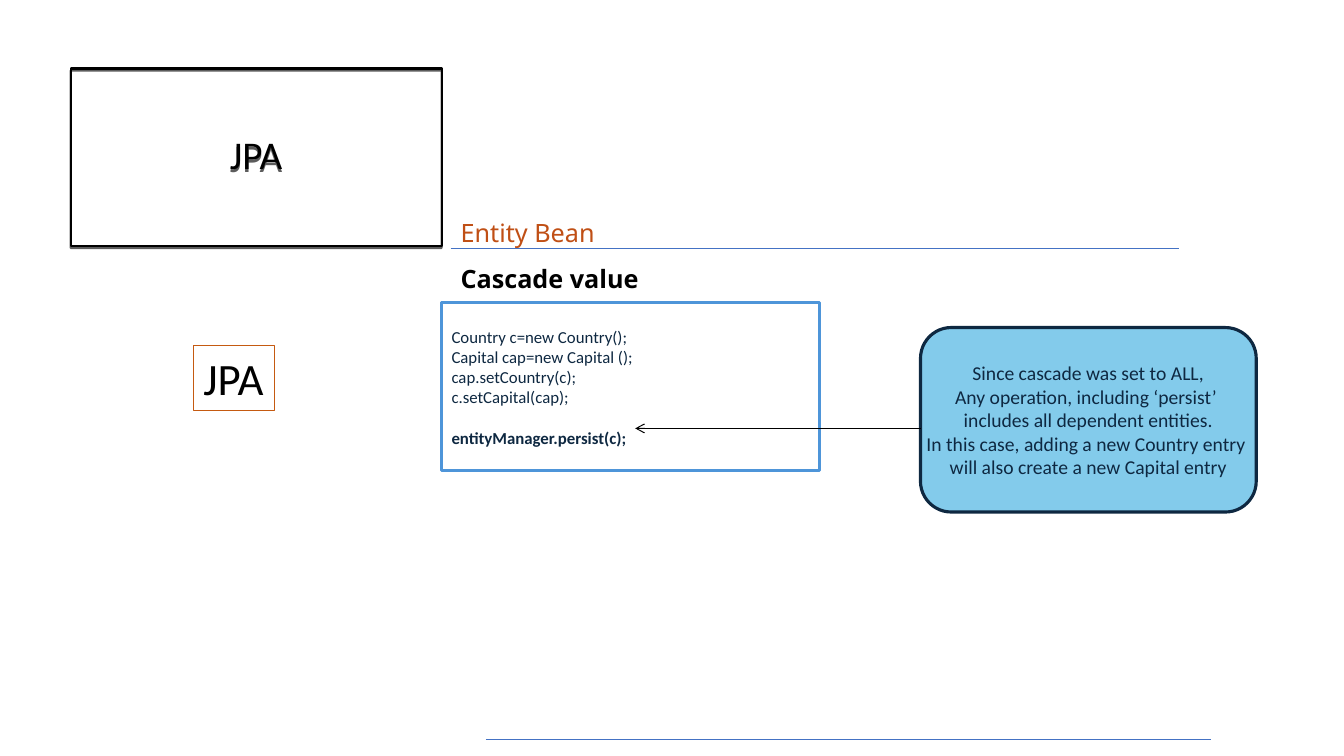
"""Builds the JPA cascade slide."""
from dataclasses import dataclass

from lxml import etree
from pptx import Presentation
from pptx import util as u
from pptx.dml import color
from pptx.enum import shapes, text
from pptx.oxml import ns


@dataclass(frozen=True)
class Theme:
    """Holds the colours, fonts and type sizes."""
    black: str = "000000"
    navy: str = "0E2841"
    sky: str = "83CBEB"
    blue: str = "4E95D9"
    rule: str = "4472C4"
    orange: str = "C55A11"
    rust: str = "C04F15"
    body_font: str = "Calibri"
    heading_font: str = "Noto Sans"
    code: int = 12
    note: int = 14
    heading: int = 18
    title: int = 28
    label: int = 32


def rgb(value):
    """Turns a hex string into a colour."""
    return color.RGBColor.from_string(value)


def add_xml(parent, tag, **attributes):
    """Adds a DrawingML child element and returns it."""
    child = etree.SubElement(parent, ns.qn(tag))
    for name, value in attributes.items():
        child.set(name, str(value))
    return child


def write(shape, lines, *, font, size, ink, bold=False, align=None, anchor=None,
          wrap=True, grow=False, spacing=None):
    """Writes lines as paragraphs of a shape and returns the paragraphs."""
    frame = shape.text_frame
    frame.text = "\n".join(lines)
    frame.word_wrap = wrap
    frame.vertical_anchor = anchor or text.MSO_ANCHOR.TOP
    if grow:
        frame.auto_size = text.MSO_AUTO_SIZE.SHAPE_TO_FIT_TEXT
    for paragraph in frame.paragraphs:
        paragraph.alignment = align or text.PP_ALIGN.LEFT
        paragraph.line_spacing = spacing
        for run in paragraph.runs:
            run.font.name = font
            run.font.size = u.Pt(size)
            run.font.bold = bold
            run.font.color.rgb = rgb(ink)
    return frame.paragraphs


class SlideBuilder:
    """Draws styled elements on the current slide."""

    def __init__(self, slide, theme):
        """Keeps the slide and its theme."""
        self.slide = slide
        self.theme = theme

    def outline(self, shape, ink, width):
        """Sets the line of a shape."""
        shape.line.color.rgb = rgb(ink)
        shape.line.width = u.Pt(width)

    def title(self, words, box):
        """Places the framed title with its drop shadow."""
        shape = self.slide.shapes.title
        shape.left, shape.top, shape.width, shape.height = map(u.Inches, box)
        self.outline(shape, self.theme.black, 1.5)
        effects = add_xml(shape.element.spPr, "a:effectLst")
        shadow = add_xml(effects, "a:outerShdw", dist=u.Pt(1.5), dir=5400000,
                         algn="ctr", rotWithShape=0)
        ink = add_xml(shadow, "a:srgbClr", val=self.theme.black)
        add_xml(ink, "a:alpha", val=63000)
        write(shape, [words], font=self.theme.body_font, size=self.theme.title,
              ink=self.theme.black, align=text.PP_ALIGN.CENTER,
              anchor=text.MSO_ANCHOR.MIDDLE, spacing=0.9)

    def box(self, kind, box, ink, width, fill=None):
        """Adds a preset shape without shadow."""
        shape = self.slide.shapes.add_shape(kind, *map(u.Inches, box))
        shape.shadow.inherit = False
        if fill:
            shape.fill.solid()
            shape.fill.fore_color.rgb = rgb(fill)
        else:
            shape.fill.background()
        self.outline(shape, ink, width)
        return shape

    def heading(self, words, box, ink, bold=False):
        """Adds a heading text box."""
        shape = self.slide.shapes.add_textbox(*map(u.Inches, box))
        write(shape, [words], font=self.theme.heading_font,
              size=self.theme.heading, ink=ink, bold=bold, grow=True)

    def line(self, start, end, ink, width, arrow=False):
        """Adds a straight line, with an arrowhead at its end if asked."""
        connector = self.slide.shapes.add_connector(
            shapes.MSO_CONNECTOR.STRAIGHT, *map(u.Inches, (*start, *end)))
        self.outline(connector, ink, width)
        if arrow:
            add_xml(connector.line._get_or_add_ln(), "a:tailEnd", type="arrow")
        add_xml(connector.element.spPr, "a:effectLst")


def main():
    """Builds and saves the presentation."""
    theme = Theme()
    presentation = Presentation()
    presentation.slide_width = u.Inches(13.33)
    presentation.slide_height = u.Inches(7.5)
    slide = presentation.slides.add_slide(presentation.slide_layouts[5])
    builder = SlideBuilder(slide, theme)
    preset = shapes.MSO_SHAPE

    builder.title("JPA", (0.7, 0.68, 3.68, 1.76))
    builder.line((4.47, 2.46), (11.69, 2.46), theme.rule, 0.5)
    builder.line((4.82, 7.34), (12.01, 7.34), theme.rule, 0.5)

    label = builder.box(preset.RECTANGLE, (1.92, 3.43, 0.8, 0.64), theme.orange, 0.75)
    write(label, ["JPA"], font=theme.body_font, size=theme.label, ink=theme.black,
          wrap=False, grow=True)

    builder.heading("Entity Bean", (4.47, 2.11, 4.6, 0.4), theme.rust)

    note = builder.box(preset.FLOWCHART_ALTERNATE_PROCESS, (9.13, 3.25, 3.33, 1.83),
                       theme.navy, 2.25, theme.sky)
    write(note, ["Since cascade was set to ALL,",
                 "Any operation, including ‘persist’ ",
                 "includes all dependent entities.",
                 "In this case, adding a new Country entry ",
                 "will also create a new Capital entry"],
          font=theme.body_font, size=theme.note, ink=theme.navy, wrap=False,
          align=text.PP_ALIGN.CENTER, anchor=text.MSO_ANCHOR.MIDDLE)

    code = builder.box(preset.RECTANGLE, (4.38, 3, 3.75, 1.67), theme.blue, 2.25)
    code.text_frame.margin_top = u.Inches(0.24)
    *_, persist = write(code, ["Country c=new Country();",
                               "Capital cap=new Capital ();",
                               "cap.setCountry(c);",
                               "c.setCapital(cap);",
                               "entityManager.persist(c);"],
                        font=theme.body_font, size=theme.code, ink=theme.navy)
    persist.space_before = u.Pt(14.6)
    persist.runs[0].font.bold = True

    builder.line((9.13, 4.25), (6.3, 4.25), theme.black, 0.75, arrow=True)
    builder.heading("Cascade value", (4.47, 2.56, 6.66, 0.4), theme.black, bold=True)
    presentation.save("out.pptx")


if __name__ == "__main__":
    main()
